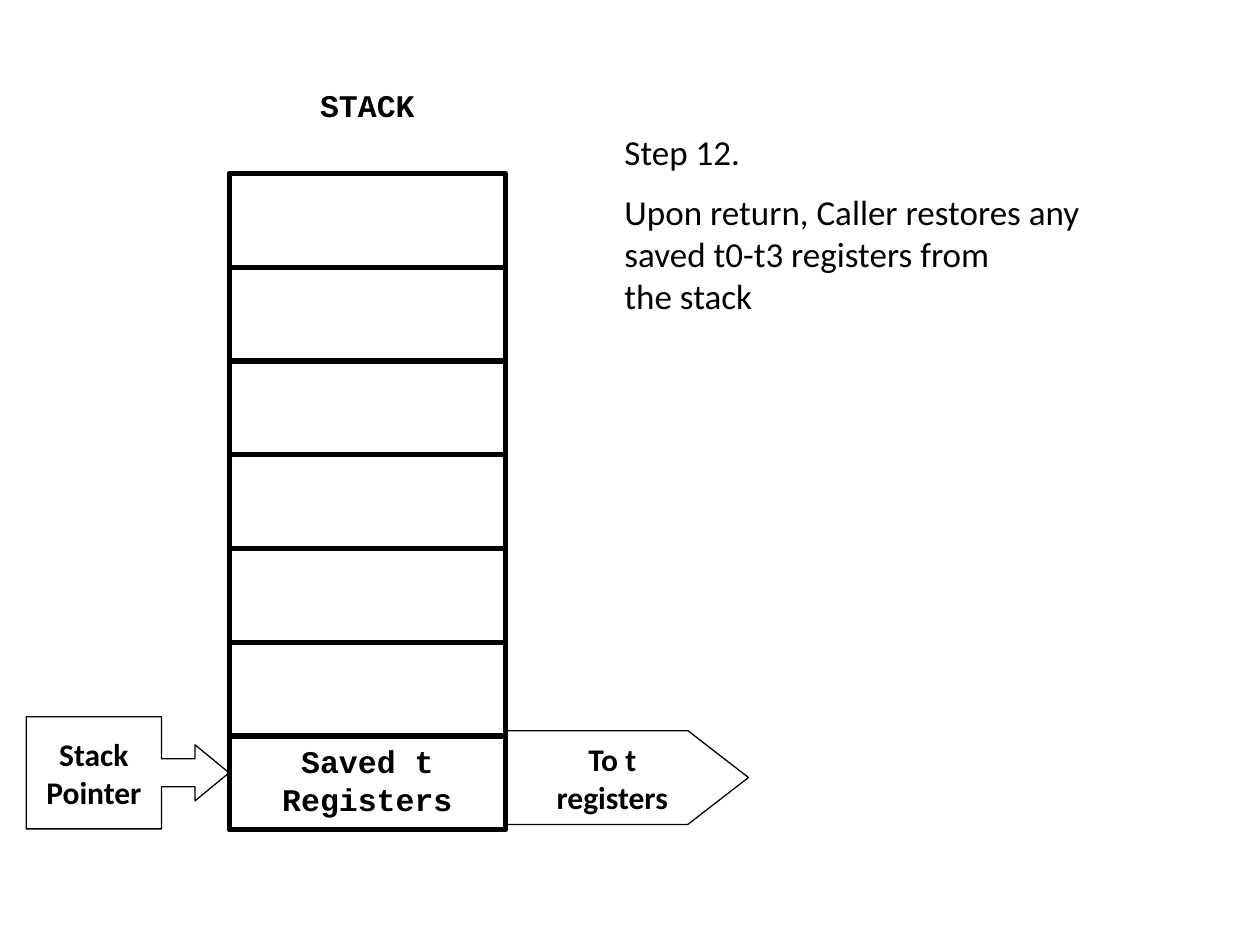
from pptx import Presentation
from pptx.dml.color import RGBColor
from pptx.enum.shapes import MSO_SHAPE as SHAPE
from pptx.enum.text import MSO_ANCHOR as ANCHOR, PP_ALIGN as ALIGN
from pptx.util import Cm, Pt

# Content
TITLE = "STACK"
CELLS = [""] * 6 + ["Saved t Registers"]
STEP = ["Step 12.",
        "Upon return, Caller restores any saved t0-t3 registers from the\u00a0stack"]
# shape, lines, box in cm, adjustments
CALLOUTS = [
    (SHAPE.RIGHT_ARROW_CALLOUT, ["Stack", "Pointer"],
     (0.53, 14.45, 4.09, 2.26), (0.25, 0.25, 0.304, 0.667)),
    (SHAPE.PENTAGON, ["To t", "registers"],
     (10.21, 14.73, 4.88, 1.89), (0.647,)),
]

# Layout in cm
STACK_X, STACK_Y, CELL_W, CELL_H = 4.62, 3.5, 5.57, 1.89
BLACK = "000000"
SANS, MONO = "Calibri", "Courier New"

prs = Presentation()
prs.slide_width, prs.slide_height = Cm(25.4), Cm(19.05)
s = prs.slides.add_slide(prs.slide_layouts[6])


def color(value):
    return RGBColor.from_string(value)


def write(sp, lines, font, size=18, bold=True, align=ALIGN.CENTER,
          anchor=ANCHOR.TOP, wrap=True):
    tf = sp.text_frame
    tf.text = "\n".join(lines)
    tf.word_wrap = wrap
    tf.vertical_anchor = anchor
    for p in tf.paragraphs:
        p.alignment = align
        for r in p.runs:
            r.font.name, r.font.size, r.font.bold = font, Pt(size), bold
            r.font.color.rgb = color(BLACK)


def outline(kind, box, width):
    sp = s.shapes.add_shape(kind, *map(Cm, box))
    sp.shadow.inherit = False
    sp.fill.background()
    sp.line.color.rgb = color(BLACK)
    sp.line.width = Pt(width)
    return sp


def textbox(box):
    return s.shapes.add_textbox(*map(Cm, box))


# Step description
step = textbox((12.34, 2.51, 10.11, 4.06))
write(step, STEP, SANS, size=20, bold=False, align=ALIGN.LEFT)
step.text_frame.paragraphs[1].space_before = Pt(10)

# Stack pointer and destination registers
for kind, lines, box, adjustments in CALLOUTS:
    sp = outline(kind, box, 0.75)
    for i, value in enumerate(adjustments):
        sp.adjustments[i] = value
    write(sp, lines, SANS, anchor=ANCHOR.MIDDLE, wrap=False)

# Stack title and cells
write(textbox((STACK_X, STACK_Y - CELL_H, CELL_W, CELL_H)), [TITLE], MONO)
for row, label in enumerate(CELLS):
    cell = outline(SHAPE.RECTANGLE,
                   (STACK_X, STACK_Y + row * CELL_H, CELL_W, CELL_H), 3)
    if label:
        write(cell, [label], MONO)

prs.save("out.pptx")
